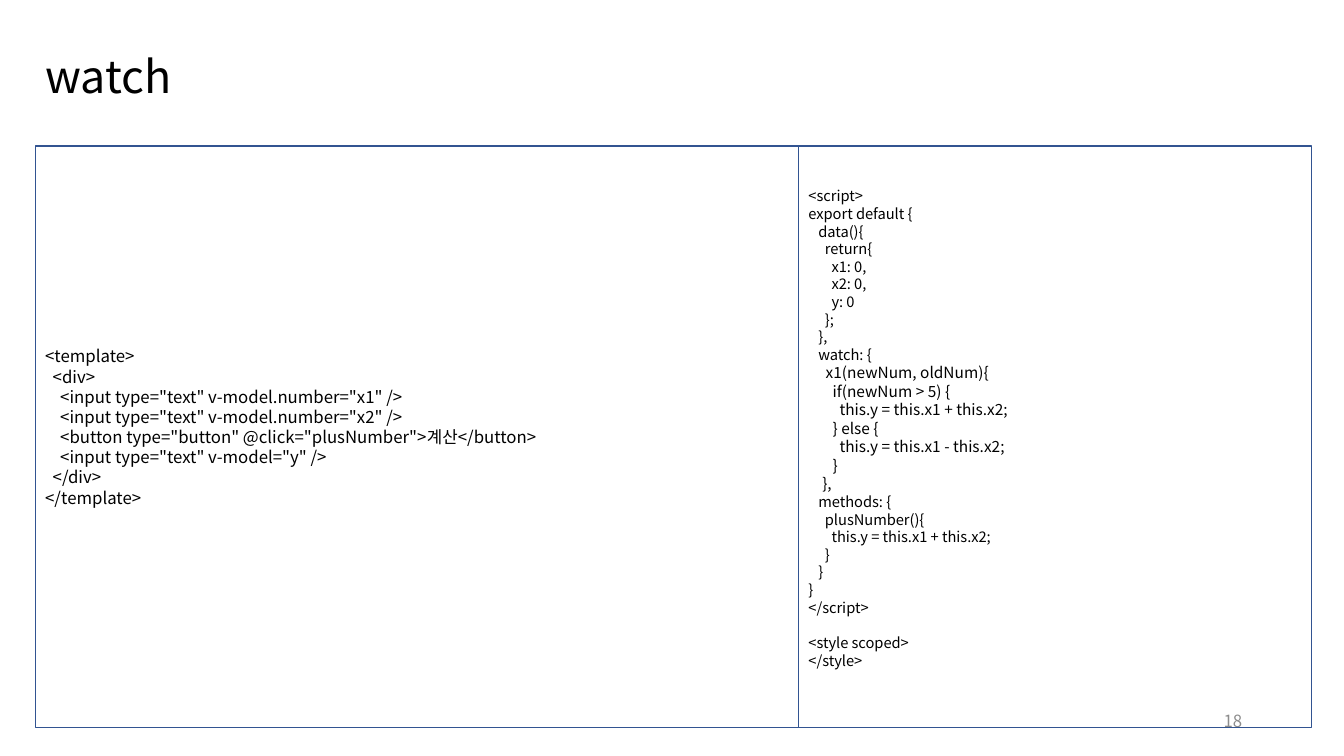
from pptx import Presentation
from pptx.dml.color import RGBColor
from pptx.enum.shapes import MSO_SHAPE
from pptx.enum.text import MSO_ANCHOR, PP_ALIGN
from pptx.util import Inches, Pt
from lxml.etree import SubElement
from pptx.oxml.ns import qn

FONT = "Noto Sans CJK KR"
COLORS = {"ink": "000000", "muted": "8C8C8C", "border": "325491"}
WIDTH, HEIGHT = 13.33, 7.5
LEFT, SPLIT, RIGHT = 0.35, 7.92, 13.01
PANEL_TOP, PANEL_HEIGHT = 1.45, 5.77
SPACE_WIDTH = 0.224
LINE_PITCH = 1.2

TEMPLATE_CODE = [
    (0, "<template>"),
    (2, "<div>"),
    (4, '<input type="text" v-model.number="x1" />'),
    (4, '<input type="text" v-model.number="x2" />'),
    (4, '<button type="button" @click="plusNumber">계산</button>'),
    (4, '<input type="text" v-model="y" />'),
    (2, "</div>"),
    (0, "</template>"),
]
DATA_CODE = [
    (0, "<script>"),
    (0, "export default {"),
    (3, "data(){"),
    (5, "return{"),
    (7, "x1: 0,"),
    (7, "x2: 0,"),
    (7, "y: 0"),
    (5, "};"),
    (3, "},"),
    (3, "watch: {"),
]
WATCH_CODE = [
    (5, "x1(newNum, oldNum){"),
    (7, "if(newNum > 5) {"),
    (9, "this.y = this.x1 + this.x2;"),
    (7, "} else {"),
    (9, "this.y = this.x1 - this.x2;"),
    (7, "}"),
    (4, "},"),
]
METHODS_CODE = [
    (3, "methods: {"),
    (5, "plusNumber(){"),
    (7, "this.y = this.x1 + this.x2;"),
    (5, "}"),
    (3, "}"),
    (0, "}"),
    (0, "</script>"),
]
STYLE_CODE = [(0, "<style scoped>"), (0, "</style>")]


def color(name):
    return RGBColor.from_string(COLORS[name])


def add_span(paragraph, text, size, ink="ink"):
    span = paragraph.add_run()
    span.text = text
    span.font.size = Pt(size)
    span.font.name = FONT
    span.font.color.rgb = color(ink)
    SubElement(span.font._element, qn("a:ea")).set("typeface", FONT)


def add_label(page, text, size, left, top, width, height, ink="ink",
              align=PP_ALIGN.LEFT, line_spacing=1.0):
    box = page.shapes.add_textbox(Inches(left), Inches(top), Inches(width), Inches(height))
    frame = box.text_frame
    frame.word_wrap = True
    frame.vertical_anchor = MSO_ANCHOR.MIDDLE
    paragraph = frame.paragraphs[0]
    paragraph.alignment = align
    paragraph.line_spacing = line_spacing
    add_span(paragraph, text, size, ink)


def add_code_panel(page, left, right, sections):
    panel = page.shapes.add_shape(MSO_SHAPE.RECTANGLE, Inches(left), Inches(PANEL_TOP),
                                  Inches(right - left), Inches(PANEL_HEIGHT))
    panel.shadow.inherit = False
    panel.fill.background()
    panel.line.color.rgb = color("border")
    panel.line.width = Pt(1)
    frame = panel.text_frame
    frame.word_wrap = True
    frame.vertical_anchor = MSO_ANCHOR.MIDDLE
    first_size = sections[0][0]
    frame.margin_bottom = Inches(0.05) + Pt(first_size * LINE_PITCH)
    paragraph = frame.paragraphs[0]
    for size, gap_lines, code in sections:
        for index, (indent, text) in enumerate(code):
            if paragraph.runs:
                paragraph = frame.add_paragraph()
            paragraph.alignment = PP_ALIGN.LEFT
            if gap_lines and index == 0:
                paragraph.space_before = Pt(size * LINE_PITCH * gap_lines)
            properties = paragraph._p.get_or_add_pPr()
            properties.set("marL", str(Pt(indent * SPACE_WIDTH * size)))
            properties.set("indent", "0")
            add_span(paragraph, text, size)


def main():
    deck = Presentation()
    deck.slide_width, deck.slide_height = Inches(WIDTH), Inches(HEIGHT)
    page = deck.slides.add_slide(deck.slide_layouts[6])
    add_label(page, "watch", 32, LEFT, 0.4, RIGHT - LEFT, 0.77, line_spacing=0.9)
    add_label(page, "18", 12, 9.42, 6.95, 3, 0.4, "muted", PP_ALIGN.RIGHT)
    add_code_panel(page, LEFT, SPLIT, [(12, 0, TEMPLATE_CODE)])
    add_code_panel(page, SPLIT, RIGHT, [
        (10.5, 0, DATA_CODE),
        (11, 0, WATCH_CODE),
        (10.5, 0, METHODS_CODE),
        (10.5, 1, STYLE_CODE),
    ])
    deck.save("out.pptx")


if __name__ == "__main__":
    main()
